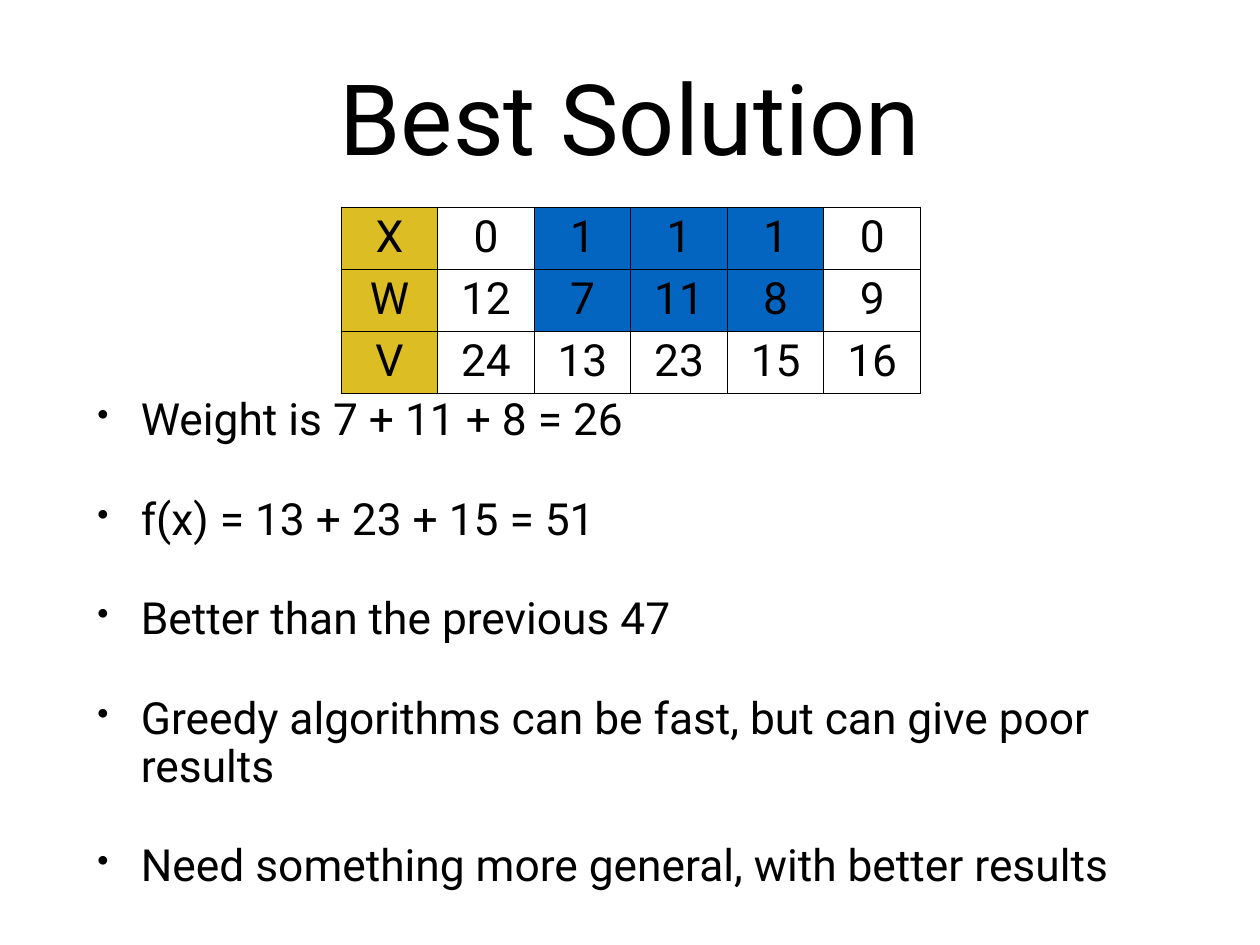
from pptx import Presentation
from pptx.dml.color import RGBColor
from pptx.enum.text import MSO_ANCHOR as Anchor, PP_ALIGN as Align
from pptx.oxml import parse_xml
from pptx.oxml.ns import nsdecls
from pptx.util import Inches, Pt

WIDTH, HEIGHT = 14.22, 10.67
COLUMN, ROW = 1.09, 0.685
BLACK, WHITE, GOLD, BLUE = "000000", "FFFFFF", "DCBD23", "0365C0"


def style(para, size, color=BLACK):
    for span in para.runs:
        span.font.name = "Roboto"
        span.font.size = Pt(size)
        span.font.color.rgb = RGBColor.from_string(color)


def add_text(left, top, width, height, text):
    box = page.shapes.add_textbox(*map(Inches, (left, top, width, height)))
    frame = box.text_frame
    frame.word_wrap = True
    frame.vertical_anchor = Anchor.MIDDLE
    frame.margin_left = frame.margin_right = Inches(0.06)
    frame.margin_top = frame.margin_bottom = Inches(0.06)
    frame.text = text
    return frame.paragraphs


deck = Presentation()
deck.slide_width, deck.slide_height = Inches(WIDTH), Inches(HEIGHT)
page = deck.slides.add_slide(deck.slide_layouts[6])

title = add_text(1.04, 0.49, WIDTH - 2 * 1.04, 1.64, "Best Solution")[0]
title.alignment = Align.CENTER
style(title, 80)

points = [
    "Weight is 7 + 11 + 8 = 26",
    "f(x) = 13 + 23 + 15 = 51",
    "Better than the previous 47",
    "Greedy algorithms can be fast, but can give poor results",
    "Need something more general, with better results",
]
for para in add_text(1.04, 4.4, 12.76, 5.75, "\n".join(points)):
    para.line_spacing = 0.9
    para.space_before = Pt(42)
    style(para, 36)
    props = para._p.get_or_add_pPr()
    props.set("marL", str(Inches(0.49)))
    props.set("indent", str(-Inches(0.49)))
    props.append(parse_xml(f'<a:buSzPct {nsdecls("a")} val="75000"/>'))
    props.append(parse_xml(f'<a:buChar {nsdecls("a")} char="•"/>'))

items = [
    ["X", "0", "1", "1", "1", "0"],
    ["W", "12", "7", "11", "8", "9"],
    ["V", "24", "13", "23", "15", "16"],
]
rows, columns = len(items), len(items[0])
table = page.shapes.add_table(
    rows, columns, Inches(3.85), Inches(2.34),
    Inches(columns * COLUMN), Inches(rows * ROW)).table
table.first_row = table.horz_banding = False
for column in table.columns:
    column.width = Inches(COLUMN)
for row in table.rows:
    row.height = Inches(ROW)

for r, values in enumerate(items):
    for c, value in enumerate(values):
        cell = table.cell(r, c)
        cell.text = value
        para = cell.text_frame.paragraphs[0]
        para.alignment = Align.CENTER
        style(para, 36)
        chosen = items[0][c] == "1" and r < 2
        fill = GOLD if c == 0 else BLUE if chosen else WHITE
        props = cell._tc.get_or_add_tcPr()
        for side in ("lnL", "lnR", "lnT", "lnB"):
            props.append(parse_xml(
                f'<a:{side} {nsdecls("a")} w="{Pt(1)}"><a:solidFill>'
                f'<a:srgbClr val="{BLACK}"/></a:solidFill></a:{side}>'))
        cell.fill.solid()
        cell.fill.fore_color.rgb = RGBColor.from_string(fill)

deck.save("out.pptx")
